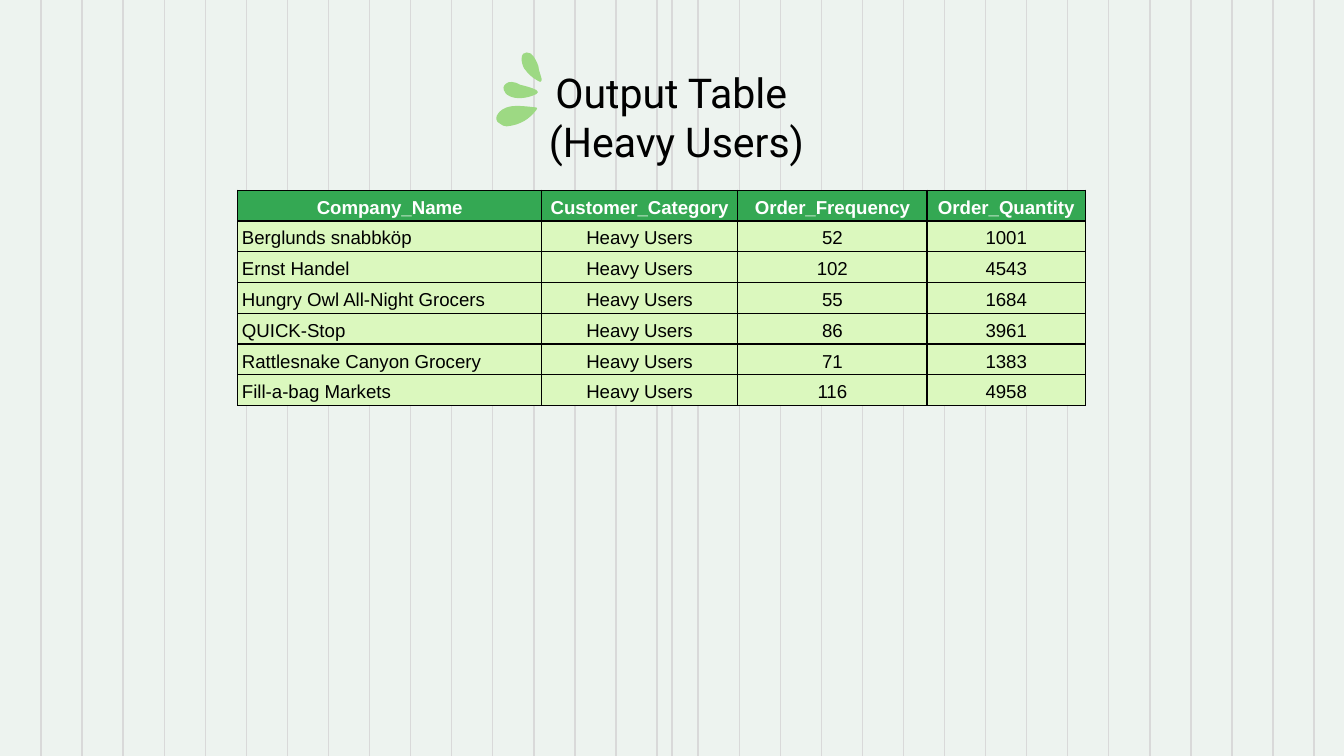
from dataclasses import dataclass

from lxml.etree import SubElement
from pptx import Presentation
from pptx.dml.color import RGBColor
from pptx.enum.shapes import MSO_CONNECTOR
from pptx.enum.text import MSO_ANCHOR, MSO_AUTO_SIZE, PP_ALIGN
from pptx.oxml.ns import qn
from pptx.util import Pt

WIDTH, HEIGHT = 720, 405
BLACK, WHITE = "000000", "FFFFFF"
STRIPE_GAP = 22
UNITS_PER_POINT = 100


@dataclass(frozen=True)
class Column:
    header: str
    width: float
    align: PP_ALIGN


@dataclass(frozen=True)
class Customer:
    name: str
    frequency: int
    quantity: int

    def cells(self) -> tuple[str, ...]:
        return self.name, "Heavy Users", str(self.frequency), str(self.quantity)


@dataclass(frozen=True)
class Leaf:
    start: tuple[float, float]
    curves: tuple[tuple[float, ...], ...]


COLUMNS = (
    Column("Company_Name", 162.7, PP_ALIGN.LEFT),
    Column("Customer_Category", 105.1, PP_ALIGN.CENTER),
    Column("Order_Frequency", 101.5, PP_ALIGN.CENTER),
    Column("Order_Quantity", 84.8, PP_ALIGN.CENTER),
)

CUSTOMERS = (
    Customer("Berglunds snabbköp", 52, 1001),
    Customer("Ernst Handel", 102, 4543),
    Customer("Hungry Owl All-Night Grocers", 55, 1684),
    Customer("QUICK-Stop", 86, 3961),
    Customer("Rattlesnake Canyon Grocery", 71, 1383),
    Customer("Fill-a-bag Markets", 116, 4958),
)

LEAVES = (
    Leaf((271.4, 67.7), (
        (279.4, 67, 284, 63, 286.6, 59.8),
        (288, 58.3, 288, 57.6, 287.3, 57.6),
        (281.5, 56.9, 277, 56.5, 274.3, 56.9),
        (269.3, 57.6, 267.8, 59.8, 267.1, 60.5),
        (265, 62.6, 265.7, 65.5, 267.8, 66.2),
        (269, 67.2, 270, 67.7, 271.4, 67.7),
    )),
    Leaf((277.9, 52.6), (
        (281.5, 52.6, 284.4, 51.8, 287.3, 50.4),
        (288.5, 49.7, 288.5, 49, 287.3, 48.2),
        (284.4, 46.8, 281.5, 46.1, 278.6, 45.4),
        (277.2, 44.6, 275.8, 43.9, 274.3, 43.9),
        (273, 43.9, 272.2, 44, 271.4, 44.6),
        (269.3, 46.1, 269.3, 47.5, 270.7, 49.7),
        (271.4, 51, 274.5, 52.6, 277.9, 52.6),
    )),
    Leaf((289.4, 43.9), (
        (290, 43.9, 290.2, 43, 290.2, 42.5),
        (289.6, 41, 289.4, 38.9, 288.7, 37.4),
        (288.7, 35.3, 287.3, 32.4, 285.8, 30.2),
        (285, 29, 284, 28.1, 282.2, 28.1),
        (280.8, 28.1, 279.4, 28.8, 279.4, 31.7),
        (279.4, 33.1, 280, 35.3, 280.8, 36.7),
        (283, 39.6, 285.1, 41.8, 288, 43.2),
        (288.4, 43.6, 289, 43.9, 289.4, 43.9),
    )),
)


def rgb(color: str) -> RGBColor:
    return RGBColor.from_string(color)


def format_text(p, font: str, size: float, color: str, align: PP_ALIGN, bold: bool = False) -> None:
    p.alignment = align
    for r in p.runs:
        r.font.name = font
        r.font.size = Pt(size)
        r.font.bold = bold
        r.font.color.rgb = rgb(color)


def add_stripe(s, x: float) -> None:
    line = s.shapes.add_connector(MSO_CONNECTOR.STRAIGHT, Pt(x), 0, Pt(x), Pt(HEIGHT))
    line.line.color.rgb = rgb("D9D9D9")
    line.line.width = Pt(0.75)
    SubElement(line.element.spPr, qn("a:effectLst"))


def place_title(s) -> None:
    title = s.shapes.title
    title.element.getparent().append(title.element)
    title.left, title.top, title.width, title.height = Pt(205.9), Pt(28.8), Pt(313), Pt(45.4)
    tf = title.text_frame
    tf.text = "Output Table \n(Heavy Users)"
    tf.word_wrap = True
    tf.auto_size = MSO_AUTO_SIZE.NONE
    tf.vertical_anchor = MSO_ANCHOR.TOP
    tf.margin_left = tf.margin_right = tf.margin_top = tf.margin_bottom = Pt(7.2)
    for p in tf.paragraphs:
        p.line_spacing = 1.0
        p.space_before = Pt(0)
        format_text(p, "Roboto", 22, BLACK, PP_ALIGN.CENTER)


def add_leaf(group, leaf: Leaf) -> None:
    ends = [curve[4:] for curve in leaf.curves]
    left = min(x for x, _ in ends)
    top = min(y for _, y in ends)
    scaled = [(x * UNITS_PER_POINT, y * UNITS_PER_POINT) for x, y in ends]
    builder = group.shapes.build_freeform(
        leaf.start[0] * UNITS_PER_POINT, leaf.start[1] * UNITS_PER_POINT,
        scale=Pt(1) / UNITS_PER_POINT)
    builder.add_line_segments(scaled, close=True)
    sp = builder.convert_to_shape()
    for segment, curve in zip(list(sp.element.iter(qn("a:lnTo"))), leaf.curves):
        bezier = segment.makeelement(qn("a:cubicBezTo"), {})
        for x, y in zip(curve[::2], curve[1::2]):
            SubElement(bezier, qn("a:pt"), {
                "x": str(round((x - left) * UNITS_PER_POINT)),
                "y": str(round((y - top) * UNITS_PER_POINT)),
            })
        segment.getparent().replace(segment, bezier)
    sp.shadow.inherit = False
    sp.fill.solid()
    sp.fill.fore_color.rgb = rgb("9DD983")
    sp.line.fill.background()


def add_borders(cell) -> None:
    tc_pr = cell._tc.get_or_add_tcPr()
    for i, side in enumerate(("a:lnL", "a:lnR", "a:lnT", "a:lnB")):
        ln = tc_pr.makeelement(qn(side), {"w": str(Pt(0.75))})
        fill = SubElement(ln, qn("a:solidFill"))
        SubElement(fill, qn("a:srgbClr"), {"val": BLACK})
        tc_pr.insert(i, ln)


def fill_cell(cell, text: str, fill: str, color: str, align: PP_ALIGN, bold: bool) -> None:
    cell.text_frame.text = text
    cell.vertical_anchor = MSO_ANCHOR.BOTTOM
    cell.margin_left = cell.margin_right = Pt(2.25)
    cell.margin_top = cell.margin_bottom = Pt(1.5)
    cell.fill.solid()
    cell.fill.fore_color.rgb = rgb(fill)
    p = cell.text_frame.paragraphs[0]
    p.line_spacing = 1.15
    format_text(p, "Arial", 10, color, align, bold)
    add_borders(cell)


def add_customer_table(s) -> None:
    rows = [tuple(c.header for c in COLUMNS), *(c.cells() for c in CUSTOMERS)]
    row_height = 16.5
    width = sum(c.width for c in COLUMNS)
    table = s.shapes.add_table(len(rows), len(COLUMNS), Pt(127.4), Pt(101.85),
                               Pt(width), Pt(row_height * len(rows))).table
    for i, column in enumerate(COLUMNS):
        table.columns[i].width = Pt(column.width)
    for j, row in enumerate(rows):
        table.rows[j].height = Pt(row_height)
        for i, text in enumerate(row):
            if j == 0:
                fill_cell(table.cell(j, i), text, "34A853", WHITE, PP_ALIGN.CENTER, True)
            else:
                fill_cell(table.cell(j, i), text, "DBF8BE", BLACK, COLUMNS[i].align, False)


def main() -> None:
    prs = Presentation()
    prs.slide_width, prs.slide_height = Pt(WIDTH), Pt(HEIGHT)
    s = prs.slides.add_slide(prs.slide_layouts[5])
    s.background.fill.solid()
    s.background.fill.fore_color.rgb = rgb("EDF3EF")
    for x in (*range(STRIPE_GAP, WIDTH, STRIPE_GAP), WIDTH / 2):
        add_stripe(s, x)
    place_title(s)
    leaves = s.shapes.add_group_shape()
    for leaf in LEAVES:
        add_leaf(leaves, leaf)
    add_customer_table(s)
    prs.save("out.pptx")


if __name__ == "__main__":
    main()
